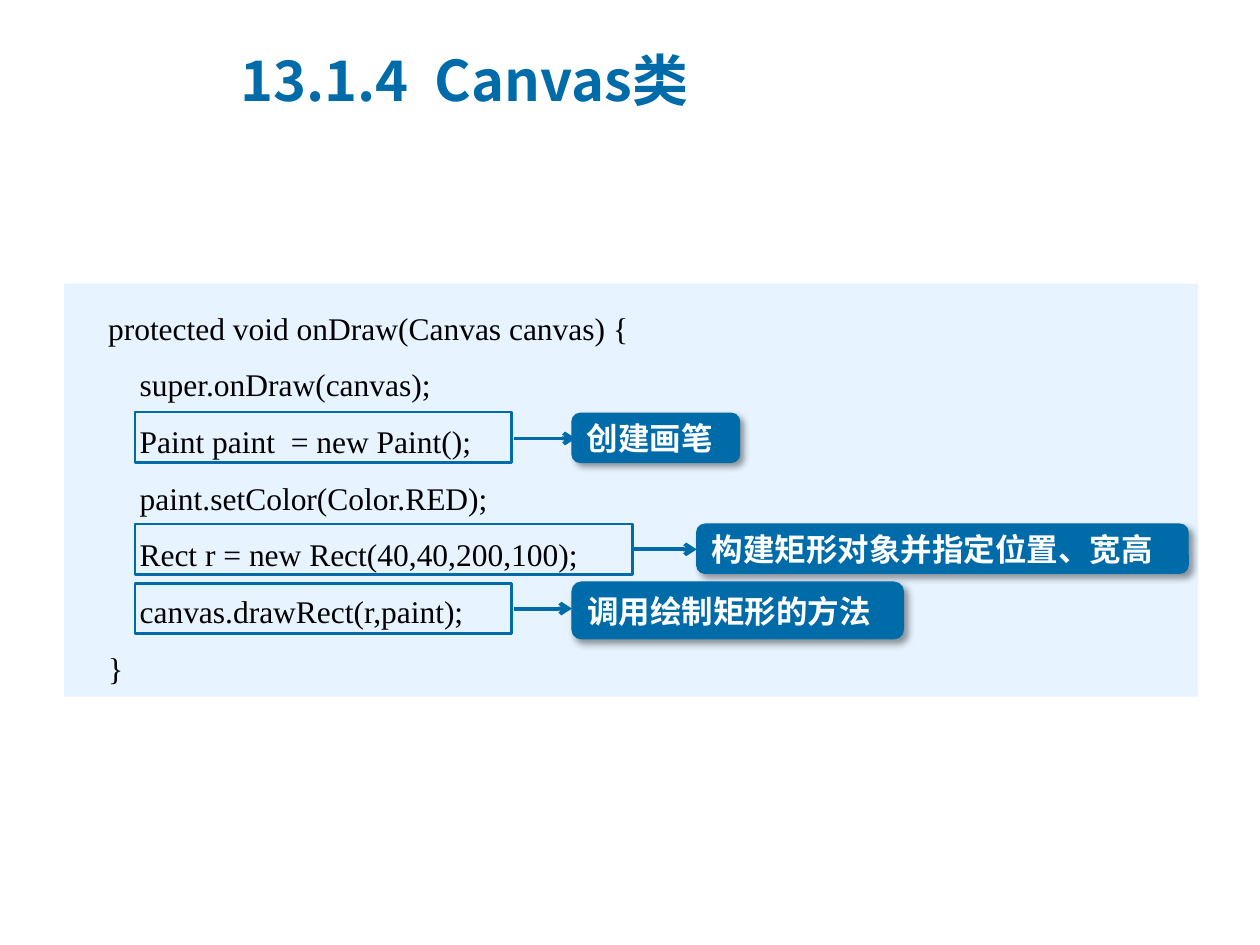
from typing import NamedTuple

from lxml import etree
from pptx import Presentation
from pptx.dml.color import RGBColor
from pptx.enum.shapes import MSO_CONNECTOR, MSO_SHAPE
from pptx.enum.text import MSO_ANCHOR, MSO_AUTO_SIZE, PP_ALIGN
from pptx.oxml import parse_xml
from pptx.oxml.ns import nsdecls, qn
from pptx.util import Inches, Pt

RECT, ROUNDED = MSO_SHAPE.RECTANGLE, MSO_SHAPE.ROUNDED_RECTANGLE
STRAIGHT = MSO_CONNECTOR.STRAIGHT
TOP, MIDDLE = MSO_ANCHOR.TOP, MSO_ANCHOR.MIDDLE
LEFT = PP_ALIGN.LEFT
GROW = MSO_AUTO_SIZE.SHAPE_TO_FIT_TEXT

COLOURS = {"blue": "006BA9", "panel": "E7F4FF", "white": "FFFFFF", "black": "000000"}
CJK_FONT = "Noto Sans CJK SC"
FRAME_LEFT, FRAME_HEIGHT = 1.07, 0.4
INDENT = 0.25


class CodeLine(NamedTuple):
    level: int
    text: str


class Note(NamedTuple):
    """A framed code line, its arrow and its label."""
    frame_top: float
    frame_width: float
    arrow: tuple[float, float, float]  # start x, end x, y
    label: tuple[float, float, float, float]
    text: str


CODE = [
    CodeLine(1, "protected void onDraw(Canvas canvas) {"),
    CodeLine(2, "super.onDraw(canvas);"),
    CodeLine(2, "Paint paint  = new Paint();"),
    CodeLine(2, "paint.setColor(Color.RED);"),
    CodeLine(2, "Rect r = new Rect(40,40,200,100);"),
    CodeLine(2, "canvas.drawRect(r,paint);"),
    CodeLine(1, "}"),
]
NOTES = [
    Note(3.27, 2.99, (4.08, 4.57, 3.48), (4.54, 3.28, 1.33, 0.39), "创建画笔"),
    Note(4.16, 3.95, (5.03, 5.53, 4.36), (5.53, 4.16, 3.9, 0.39),
         "构建矩形对象并指定位置、宽高"),
    Note(4.63, 2.99, (4.08, 4.54, 4.83), (4.54, 4.62, 2.63, 0.45), "调用绘制矩形的方法"),
]


def colour(name: str) -> RGBColor:
    return RGBColor.from_string(COLOURS[name])


def add_box(page, kind, place, fill: str | None = None, line_width: float = 0):
    box = page.shapes.add_shape(kind, *map(Inches, place))
    box.shadow.inherit = False
    if fill:
        box.fill.solid()
        box.fill.fore_color.rgb = colour(fill)
    else:
        box.fill.background()
    if line_width:
        box.line.color.rgb = colour("blue")
        box.line.width = Pt(line_width)
    else:
        box.line.fill.background()
    return box


def add_span(para, text: str, size: float, font: str, ink: str, bold: bool = False) -> None:
    para.alignment = LEFT
    span = para.add_run()
    span.text = text
    span.font.size = Pt(size)
    span.font.name = font
    span.font.bold = bold
    span.font.color.rgb = colour(ink)
    east_asian = etree.SubElement(span.font._element, qn("a:ea"))
    east_asian.set("typeface", CJK_FONT)


def add_soft_shadow(box) -> None:
    effects = box._element.spPr.find(qn("a:effectLst"))
    effects.append(parse_xml(
        f'<a:outerShdw {nsdecls("a")} blurRad="{Pt(4)}" dist="{Pt(3)}" dir="2700000" '
        f'algn="tl" rotWithShape="0"><a:srgbClr val="{COLOURS["black"]}">'
        '<a:alpha val="40000"/></a:srgbClr></a:outerShdw>'))


def add_code(page) -> None:
    panel = add_box(page, RECT, (0.51, 2.25, 9, 3.28), "panel")
    frame = panel.text_frame
    frame.word_wrap = True
    frame.vertical_anchor = TOP
    for index, line in enumerate(CODE):
        para = frame.add_paragraph() if index else frame.paragraphs[0]
        para.line_spacing = 1.5
        para._p.get_or_add_pPr().set("marL", str(Inches(INDENT * line.level)))
        add_span(para, line.text, 18, "Times New Roman", "black")


def add_label(page, note: Note) -> None:
    label = add_box(page, ROUNDED, note.label, "blue", 0.75)
    add_soft_shadow(label)
    frame = label.text_frame
    frame.word_wrap = True
    frame.auto_size = GROW
    frame.vertical_anchor = MIDDLE
    add_span(frame.paragraphs[0], note.text, 18, "Arial", "white", True)


def add_arrow(page, note: Note) -> None:
    start, end, y = map(Inches, note.arrow)
    arrow = page.shapes.add_connector(STRAIGHT, start, y, end, y)
    arrow.line.color.rgb = colour("blue")
    arrow.line.width = Pt(2.25)
    etree.SubElement(arrow.line._get_or_add_ln(), qn("a:tailEnd")).set("type", "arrow")
    etree.SubElement(arrow._element.spPr, qn("a:effectLst"))


def add_title(page) -> None:
    box = page.shapes.add_textbox(*map(Inches, (1.81, 0.21, 5.63, 0.84)))
    frame = box.text_frame
    frame.word_wrap = True
    frame.vertical_anchor = MIDDLE
    add_span(frame.paragraphs[0], "13.1.4  Canvas类", 32, CJK_FONT, "blue", True)


def main() -> None:
    deck = Presentation()
    deck.slide_width, deck.slide_height = Inches(10), Inches(7.5)
    page = deck.slides.add_slide(deck.slide_layouts[6])

    # Code listing
    add_code(page)

    # Framed lines with labels, then arrows on top
    for note in NOTES:
        add_box(page, RECT, (FRAME_LEFT, note.frame_top, note.frame_width, FRAME_HEIGHT),
                line_width=1.5)
        add_label(page, note)
    for note in NOTES:
        add_arrow(page, note)

    # Heading
    add_title(page)
    deck.save("out.pptx")


if __name__ == "__main__":
    main()
